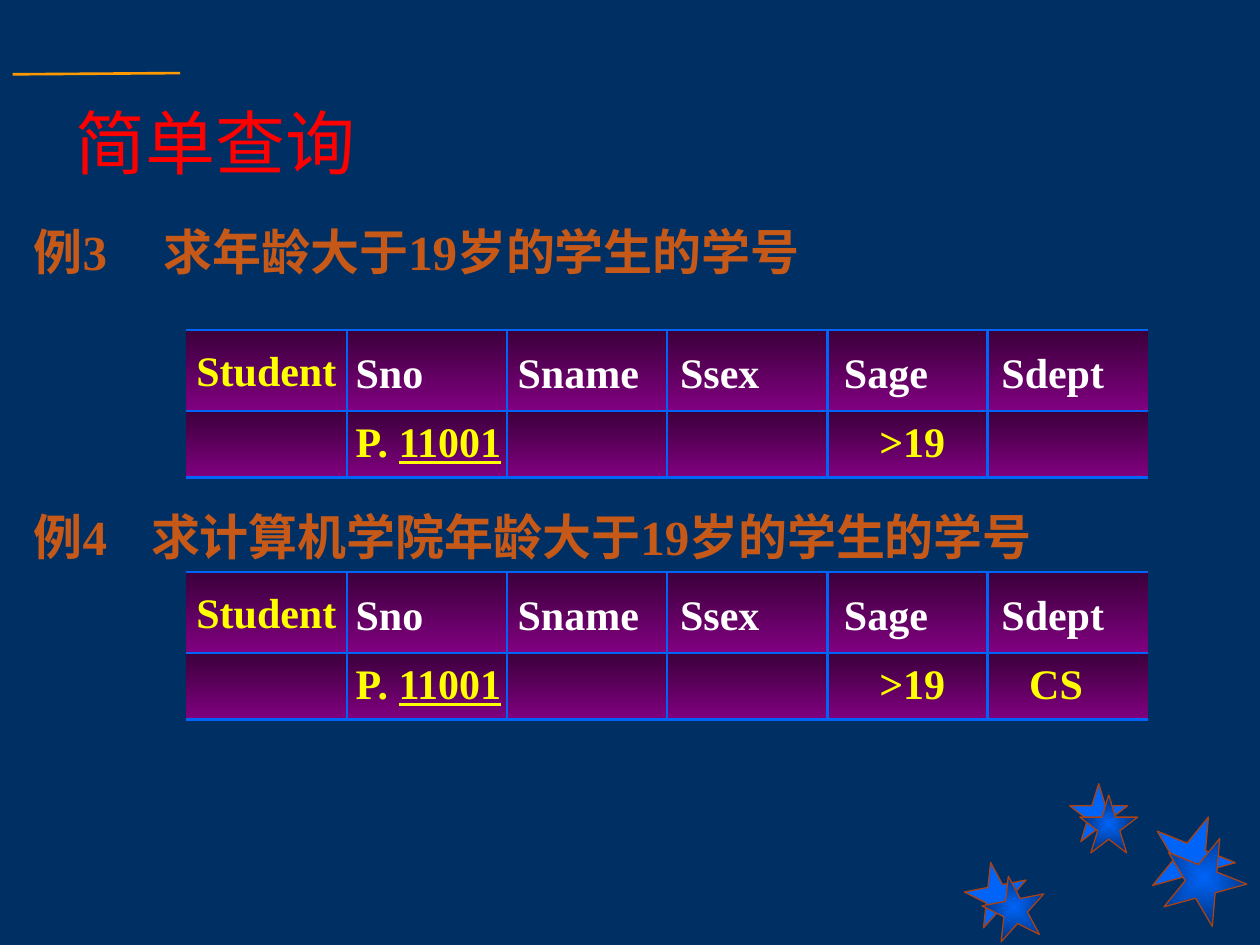
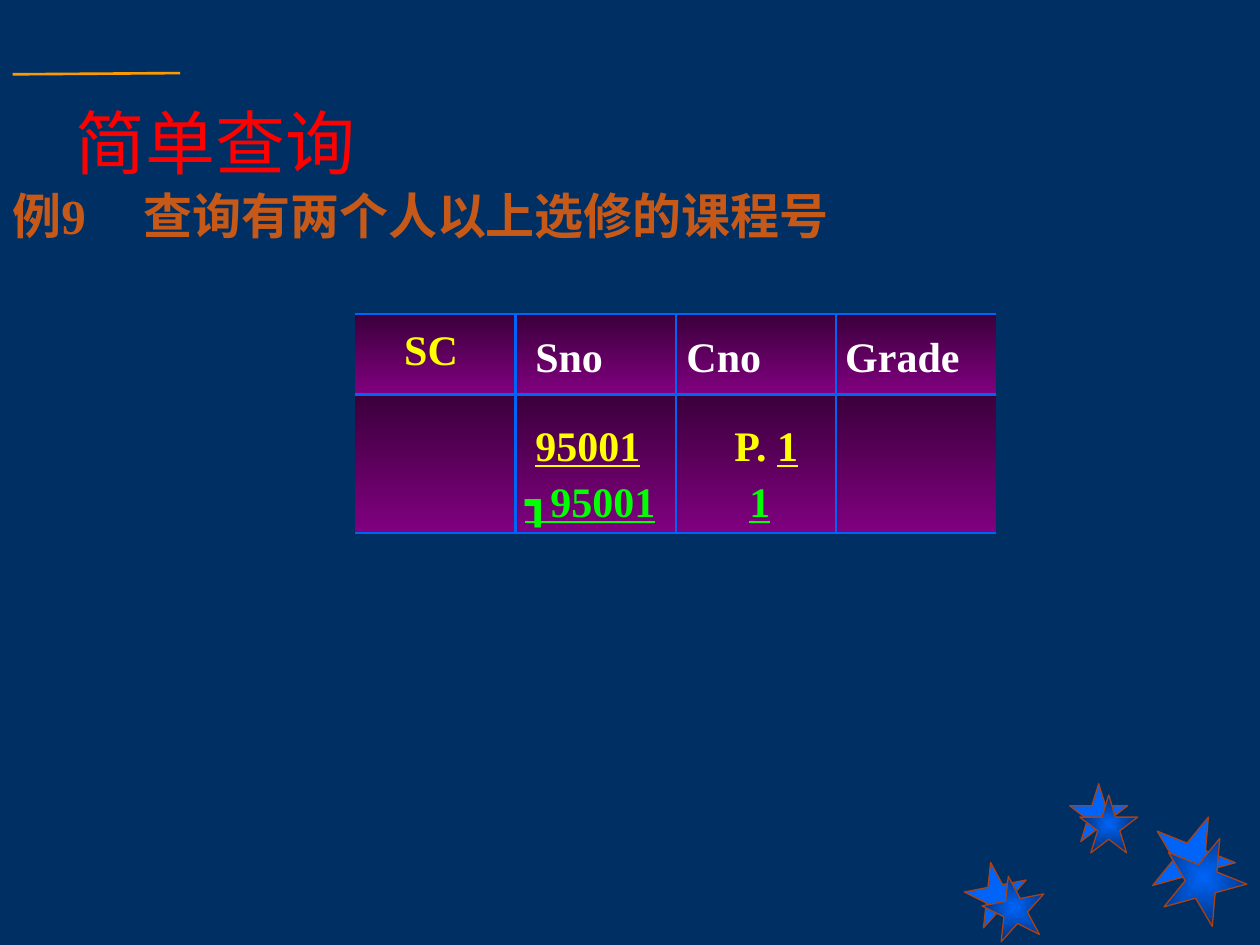
"""Build two slides on simple table queries."""
import pptx
import pptx.dml.color
import pptx.enum.shapes
import pptx.enum.text
import pptx.oxml
import pptx.oxml.ns
import pptx.util

RGB = pptx.dml.color.RGBColor
NAVY = RGB(0x00, 0x30, 0x63)
BLUE = RGB(0x00, 0x64, 0xF8)
DEEP = RGB(0x00, 0x2E, 0x72)
RUST = RGB(0xA9, 0x41, 0x13)
CLAY = RGB(0xC6, 0x59, 0x18)
GOLD = RGB(0xFF, 0x99, 0x00)
RED = RGB(0xFF, 0x00, 0x00)
WHITE = RGB(0xFF, 0xFF, 0xFF)
SUN = RGB(0xFF, 0xFF, 0x00)
LIME = RGB(0x00, 0xFF, 0x00)
PLUM = RGB(0x3B, 0x00, 0x3B)
GRAPE = RGB(0x80, 0x00, 0x80)

FACE = "Times New Roman"
COLS = 100
WIDE = 12.72
HEAD = 6.4
STARS = [
    (76.6, 68.4, 5, 349, False), (84.9, 62.2, 4.6, 0, False),
    (91.3, 64.6, 6.7, 22, False), (78, 69.5, 5, 349, True),
    (85.7, 63.1, 4.6, 0, True), (92.2, 66.3, 6.7, 22, True),
]
qn = pptx.oxml.ns.qn
MID = pptx.enum.text.MSO_ANCHOR.MIDDLE
TOP = pptx.enum.text.MSO_ANCHOR.TOP


def node(tag, body="", **attrs):
    """Make one drawing element."""
    pairs = "".join(f' {key}="{val}"' for key, val in attrs.items())
    return pptx.oxml.parse_xml(
        f'<a:{tag} {pptx.oxml.ns.nsdecls("a")}{pairs}>{body}</a:{tag}>')


def blend(fill, start, end):
    """Give a fill two colour stops running downwards."""
    fill.gradient()
    fill.gradient_angle = 270
    for stop, tint, place in zip(fill.gradient_stops, (start, end), (0, 1)):
        stop.color.rgb = tint
        stop.position = place


class Deck:
    """Hold the style, the file and the current slide."""

    def __init__(self):
        """Open a file and set its size and ground."""
        self.show = pptx.Presentation()
        self.show.slide_width = pptx.util.Inches(10)
        self.show.slide_height = pptx.util.Inches(7.5)
        ground = self.show.slide_master.background.fill
        ground.solid()
        ground.fore_color.rgb = NAVY
        self.shapes = None

    def span(self, *units):
        """Turn grid units into lengths."""
        return [round(self.show.slide_width * unit / COLS) for unit in units]

    def page(self, title):
        """Start a slide with stars, title and rule."""
        blank = self.show.slide_layouts[6]
        self.shapes = self.show.slides.add_slide(blank).shapes
        for star in STARS:
            self.star(*star)
        self.text((5, 6, 95, 10.4), [[(title, RED, False)]],
                  size=40, bold=False)
        self.rule(1, 5.9, 14.3, 5.8)

    def star(self, left, top, size, turn, glow):
        """Draw a star, plain or glowing from its centre."""
        kind = pptx.enum.shapes.MSO_SHAPE.STAR_5_POINT
        star = self.shapes.add_shape(kind, *self.span(left, top, size, size))
        star.rotation = turn
        star.shadow.inherit = False
        star.line.color.rgb = RUST
        star.line.width = pptx.util.Pt(0.75)
        if glow:
            blend(star.fill, BLUE, DEEP)
            grad = star.element.spPr.find(qn("a:gradFill"))
            core = '<a:fillToRect l="50000" t="50000" r="50000" b="50000"/>'
            grad.replace(grad.find(qn("a:lin")), node("path", core, path="rect"))
        else:
            star.fill.solid()
            star.fill.fore_color.rgb = BLUE

    def rule(self, *ends):
        """Draw the short line above the title."""
        kind = pptx.enum.shapes.MSO_CONNECTOR.STRAIGHT
        line = self.shapes.add_connector(kind, *self.span(*ends))
        line.line.color.rgb = GOLD
        line.line.width = pptx.util.Pt(1.5)
        line.element.spPr.append(node("effectLst"))

    def text(self, area, lines, stops=(), size=24, bold=True,
             anchor=MID, pitch=None):
        """Write lines of (words, tint, underline) with a tab row for each."""
        box = self.shapes.add_textbox(*self.span(*area))
        frame = box.text_frame
        frame.word_wrap = True
        frame.vertical_anchor = anchor
        for num, line in enumerate(lines):
            para = frame.add_paragraph() if num else frame.paragraphs[0]
            if stops:
                tabs = node("tabLst")
                for pos in self.span(*stops[num]):
                    tabs.append(node("tab", pos=pos, algn="l"))
                para._p.get_or_add_pPr().append(tabs)
            if pitch:
                para.line_spacing = pitch
            for words, tint, under in line:
                run = para.add_run()
                run.text = words
                run.font.name = FACE
                run.font.size = pptx.util.Pt(size)
                run.font.bold = bold
                run.font.underline = under
                run.font.color.rgb = tint

    def task(self, area, label, words, stop):
        """Write the heading of an example."""
        self.text(area, [[(f"{label}\t{words}", CLAY, False)]], [[stop]],
                  size=28, anchor=TOP)

    def grid(self, left, top, count, foot):
        """Draw an empty table with a head row and one row below."""
        area = self.span(left, top, WIDE * count, HEAD + foot)
        table = self.shapes.add_table(2, count, *area).table
        table.first_row = table.horz_banding = False
        for col in table.columns:
            col.width = self.span(WIDE)[0]
        for row, tall in zip(table.rows, self.span(HEAD, foot)):
            row.height = tall
            for num, cell in enumerate(row.cells):
                blend(cell.fill, PLUM, GRAPE)
                self.edge(cell, num == 0, num == count - 1)

    def edge(self, cell, first, last):
        """Line a cell, leaving the outer sides open."""
        paint = f'<a:solidFill><a:srgbClr val="{BLUE}"/></a:solidFill>'
        sides = {"lnL": first, "lnR": last, "lnT": False, "lnB": False}
        props = cell._tc.get_or_add_tcPr()
        for spot, (side, bare) in enumerate(sides.items()):
            body = "<a:noFill/>" if bare else paint
            props.insert(spot, node(side, body, w=pptx.util.Pt(1.47)))

    def query(self, top, dept=""):
        """Draw the student table with its query row."""
        left = 14.8
        self.grid(left, top, 6, 5.3)
        self.text((left - 0.2, top + 0.3, 14.1, 5.7),
                  [[("Student", SUN, False)]])
        names = "\tSno\tSname\tSsex\tSage\tSdept"
        self.text((left + 10.8, top + 0.8, 67.7, 5),
                  [[(names, WHITE, False)]], [[1.65, 14.5, 27.4, 40.4, 52.9]])
        tail = "\t>19" + (f"\t{dept}" if dept else "")
        row = [("\tP. ", SUN, False), ("11001", SUN, True), (tail, SUN, False)]
        self.text((left + 10.8, top + 6.3, 66.1, 5), [row], [[1.65, 43.2, 55.1]])

    def course(self, left, top):
        """Draw the course table with its two query lines."""
        self.grid(left, top, 4, 11)
        self.text((left + 2.9, top + 0.3, 7.1, 5), [[("SC", SUN, False)]])
        self.text((left + 11.7, top + 0.8, 41.6, 5),
                  [[("\tSno\tCno\tGrade", WHITE, False)]], [[1.6, 13.6, 26.2]])
        rows = [
            [("\t", SUN, False), ("95001", SUN, True),
             ("\tP. ", SUN, False), ("1", SUN, True)],
            [("\t", LIME, False), ("┓95001", LIME, True),
             ("\t", LIME, False), ("1", LIME, True)],
        ]
        self.text((left + 10, top + 7.5, 30, 9.8), rows,
                  [[3.3, 19.1], [2.5, 20.3]], pitch=1.1)


def main():
    """Build both slides and save them."""
    deck = Deck()
    deck.page("简单查询")
    deck.task((1.7, 17.1, 64.9, 10.4), "例3", "求年龄大于19岁的学生的学号", 10.3)
    deck.query(26.2)
    deck.query(45.4, "CS")
    deck.task((1.7, 39.7, 86.1, 5.7), "例4",
              "求计算机学院年龄大于19岁的学生的学号", 9.3)

    deck.page("简单查询")
    deck.task((0, 14.2, 68.1, 5.7), "例9", "查询有两个人以上选修的课程号", 10.4)
    deck.course(28.2, 24.9)
    deck.show.save("out.pptx")


if __name__ == "__main__":
    main()
